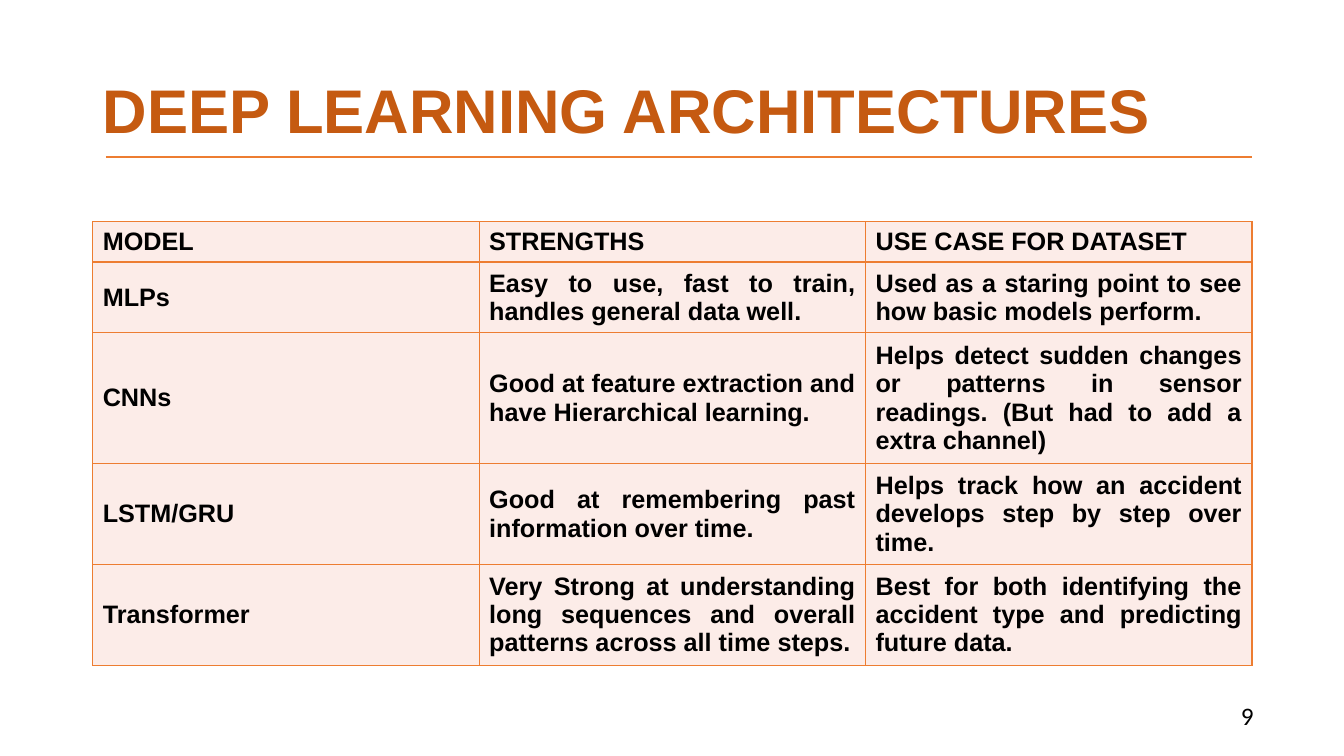
from lxml import etree
from pptx import Presentation
from pptx.dml.color import RGBColor
from pptx.enum.shapes import MSO_CONNECTOR
from pptx.enum.text import MSO_ANCHOR, PP_ALIGN
from pptx.oxml.ns import qn
from pptx.util import Inches, Pt

STRAIGHT = MSO_CONNECTOR.STRAIGHT
MIDDLE, TOP = MSO_ANCHOR.MIDDLE, MSO_ANCHOR.TOP
LEFT, JUSTIFY = PP_ALIGN.LEFT, PP_ALIGN.JUSTIFY

SLIDE_W, SLIDE_H = Inches(13.33), Inches(7.5)
COLORS = {"title": "C55A11", "rule": "ED7D31", "cell": "FCECE8", "text": "000000"}

# Text formats
TITLE = {"name": "Arial", "size": Pt(44), "bold": True}
CELL = {"name": "Arial", "size": Pt(18), "bold": True}
NUMBER = {"name": "Calibri", "size": Pt(18), "bold": False}

# Row heights as percent of the slide: one text line, and the cell padding
LINE_H, PADDING_H = 3.74, 1.33

# Number of text lines in the row, then its cells
MODELS = [
    (1, "MODEL", "STRENGTHS", "USE CASE FOR DATASET"),
    (2, "MLPs", "Easy to use, fast to train, handles general data well.",
     "Used as a staring point to see how basic models perform."),
    (4, "CNNs", "Good at feature extraction and have Hierarchical learning.",
     "Helps detect sudden changes or patterns in sensor readings. "
     "(But had to add a extra channel)"),
    (3, "LSTM/GRU", "Good at remembering past information over time.",
     "Helps track how an accident develops step by step over time."),
    (3, "Transformer",
     "Very Strong at understanding long sequences and overall patterns "
     "across all time steps.",
     "Best for both identifying the accident type and predicting future data."),
]


def across(percent):
    return round(SLIDE_W * percent / 100)


def down(percent):
    return round(SLIDE_H * percent / 100)


def rgb(name):
    return RGBColor.from_string(COLORS[name])


def write(tf, text, style, color, align=LEFT, anchor=TOP, spacing=1.0):
    tf.word_wrap = True
    tf.vertical_anchor = anchor
    p = tf.paragraphs[0]
    p.alignment = align
    p.line_spacing = spacing
    r = p.add_run()
    r.text = text
    for key, value in style.items():
        setattr(r.font, key, value)
    r.font.color.rgb = rgb(color)


def add_text(s, x, y, w, h, *args, **kwargs):
    box = s.shapes.add_textbox(across(x), down(y), across(w), down(h))
    write(box.text_frame, *args, **kwargs)


def add_rule(s, x1, x2, y):
    line = s.shapes.add_connector(STRAIGHT, across(x1), down(y), across(x2), down(y))
    line.line.color.rgb = rgb("rule")
    line.line.width = Pt(1.5)
    etree.SubElement(line._element.spPr, qn("a:effectLst"))


def add_borders(cell):
    tc_pr = cell._tc.get_or_add_tcPr()
    for i, side in enumerate(("lnL", "lnR", "lnT", "lnB")):
        ln = etree.Element(qn(f"a:{side}"), w=str(Pt(1)))
        fill = etree.SubElement(ln, qn("a:solidFill"))
        etree.SubElement(fill, qn("a:srgbClr"), val=COLORS["rule"])
        tc_pr.insert(i, ln)


def add_model_table(s, x, y, w, rows):
    heights = [down(PADDING_H + LINE_H * row[0]) for row in rows]
    table = s.shapes.add_table(len(rows), len(rows[0]) - 1, across(x), down(y),
                               across(w), sum(heights)).table
    table.first_row = table.horz_banding = False
    for i, (_, *texts) in enumerate(rows):
        table.rows[i].height = heights[i]
        for j, text in enumerate(texts):
            cell = table.cell(i, j)
            cell.fill.solid()
            cell.fill.fore_color.rgb = rgb("cell")
            cell.vertical_anchor = MIDDLE
            add_borders(cell)
            write(cell.text_frame, text, CELL, "text", JUSTIFY)


def main():
    prs = Presentation()
    prs.slide_width, prs.slide_height = SLIDE_W, SLIDE_H
    s = prs.slides.add_slide(prs.slide_layouts[6])

    # Heading
    add_text(s, 6.9, 5.33, 86.25, 19.33, "DEEP LEARNING ARCHITECTURES",
             TITLE, "title", anchor=MIDDLE, spacing=0.9)

    # Comparison of models
    add_model_table(s, 6.9, 29.33, 86.25, MODELS)

    # Line under the heading
    add_rule(s, 7.88, 93.17, 20.8)

    # Page number
    add_text(s, 91.6, 92, 4.43, 5.33, "9", NUMBER, "text")

    prs.save("out.pptx")


if __name__ == "__main__":
    main()
